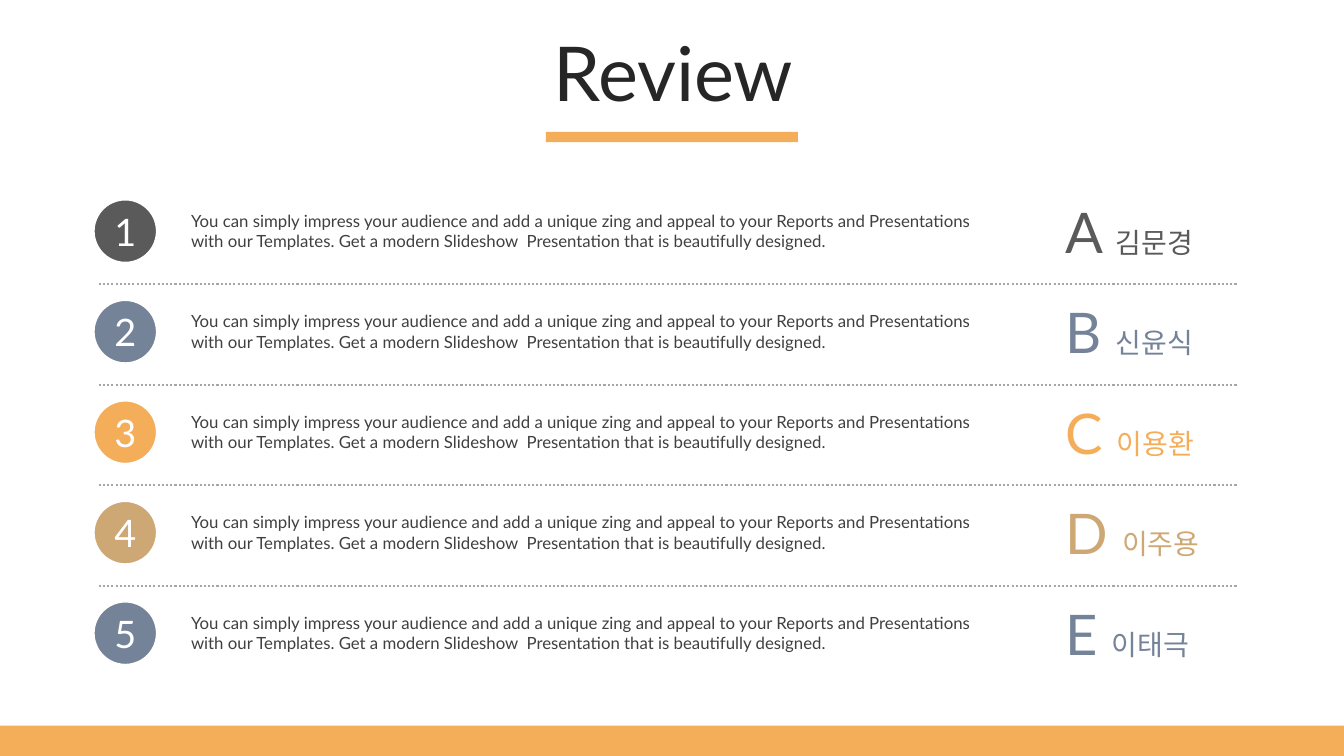
from lxml.etree import SubElement
from pptx import Presentation
from pptx.dml.color import RGBColor
from pptx.enum.dml import MSO_LINE
from pptx.enum.shapes import MSO_CONNECTOR, MSO_SHAPE
from pptx.enum.text import MSO_ANCHOR, PP_ALIGN
from pptx.oxml.ns import qn
from pptx.util import Pt

WHITE = RGBColor(0xFF, 0xFF, 0xFF)
INK = RGBColor(0x26, 0x26, 0x26)
BODY = RGBColor(0x40, 0x40, 0x40)
RULE = RGBColor(0xA6, 0xA6, 0xA6)
GREY = RGBColor(0x5A, 0x5A, 0x5A)
BLUE = RGBColor(0x74, 0x83, 0x98)
ORANGE = RGBColor(0xF4, 0xAE, 0x59)
TAN = RGBColor(0xCD, 0xA8, 0x74)

FONT = "Lato"
ROW_PITCH = 71.8
DESCRIPTION = (
    "You can simply impress your audience and add a unique zing and appeal to your "
    "Reports and Presentations with our Templates. Get a modern Slideshow  "
    "Presentation that is beautifully designed."
)
ROWS = [
    ("A", "김문경", GREY),
    ("B", "신윤식", BLUE),
    ("C", "이용환", ORANGE),
    ("D", "이주용", TAN),
    ("E", "이태극", BLUE),
]


def add_filled(kind, x, y, w, h, color):
    sp = s.shapes.add_shape(kind, Pt(x), Pt(y), Pt(w), Pt(h))
    sp.shadow.inherit = False
    sp.fill.solid()
    sp.fill.fore_color.rgb = color
    sp.line.fill.background()
    return sp


def add_text(x, y, w, h, size, color):
    """Add a wrapping text box and return its styled first paragraph."""
    tf = s.shapes.add_textbox(Pt(x), Pt(y), Pt(w), Pt(h)).text_frame
    tf.word_wrap = True
    p = tf.paragraphs[0]
    p.font.name = FONT
    p.font.size = Pt(size)
    p.font.color.rgb = color
    return p


prs = Presentation()
prs.slide_width, prs.slide_height = Pt(960), Pt(540)
s = prs.slides.add_slide(prs.slide_layouts[6])

# Title and accent bars
add_filled(MSO_SHAPE.RECTANGLE, 390, 94.3, 180, 7.2, ORANGE)
add_filled(MSO_SHAPE.RECTANGLE, 0, 518.4, 960, 21.6, ORANGE)
p = add_text(25.2, 26.6, 911.5, 56.9, 54, INK)
p.text = "Review"
p.alignment = PP_ALIGN.CENTER
p.line_spacing = 0.9
p.space_before = Pt(10)
s.shapes[-1].text_frame.vertical_anchor = MSO_ANCHOR.MIDDLE

# Numbered rows
for i, (letter, name, color) in enumerate(ROWS):
    dy = i * ROW_PITCH

    badge = add_filled(MSO_SHAPE.OVAL, 67, 142.6, 45, 45, color)
    badge.top = Pt(142.6 + dy)
    badge.line.color.rgb = WHITE
    badge.line.width = Pt(1.25)
    tf = badge.text_frame
    tf.margin_left = tf.margin_right = tf.margin_top = tf.margin_bottom = 0
    tf.vertical_anchor = MSO_ANCHOR.MIDDLE
    p = tf.paragraphs[0]
    p.text = str(i + 1)
    p.alignment = PP_ALIGN.CENTER
    p.font.name = FONT
    p.font.size = Pt(27)
    p.font.color.rgb = WHITE

    add_text(129.4, 146.9 + dy, 590.4, 36, 12, BODY).text = DESCRIPTION

    p = add_text(753.8, 137.3 + dy, 136.8, 55.4, 40, color)
    p.add_run().text = letter + " "
    r = p.add_run()
    r.text = name
    r.font.size = Pt(20)

    if i < len(ROWS) - 1:
        y = Pt(203 + dy)
        rule = s.shapes.add_connector(MSO_CONNECTOR.STRAIGHT, Pt(70.5), y, Pt(883.5), y)
        rule.line.color.rgb = RULE
        rule.line.width = Pt(1.5)
        rule.line.dash_style = MSO_LINE.ROUND_DOT
        SubElement(rule._element.spPr, qn("a:effectLst"))

prs.save("out.pptx")
